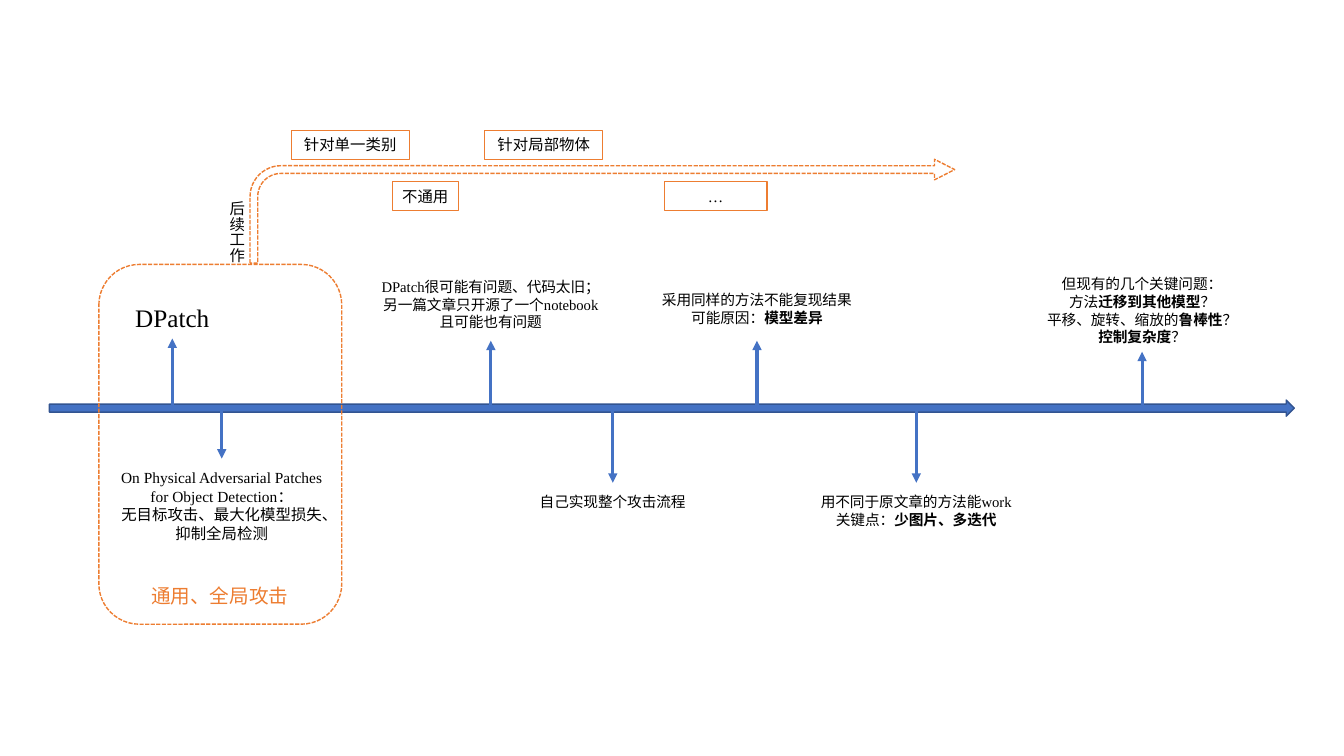
"""Draw a timeline of patch attack work, with its scope and follow-up."""
from pptx import Presentation
from pptx.dml.color import RGBColor
from pptx.enum import dml, shapes, text
from pptx.oxml.ns import qn
from pptx.util import Pt
from lxml import etree

BLUE = RGBColor(0x44, 0x72, 0xC4)
NAVY = RGBColor(0x32, 0x54, 0x91)
ORANGE = RGBColor(0xED, 0x7D, 0x31)
BLACK = RGBColor(0, 0, 0)
FONT = "Times New Roman"
KIND = shapes.MSO_SHAPE
MID = text.PP_ALIGN.CENTER
LEFT = text.PP_ALIGN.LEFT

EVENTS = [
    (87.8, -49.7, -79.2, 69.8, 28.8, 18, False, ["DPatch"]),
    (123.1, 36, 39.6, 160.6, 60.5, 11, True,
     ["On Physical Adversarial Patches for Object Detection：",
      "无目标攻击、最大化模型损失、抑制全局检测"]),
    (315.3, -48.2, -96.5, 175, 45.4, 10.5, False,
     ["DPatch很可能有问题、代码太旧；",
      "另一篇文章只开源了一个notebook", "且可能也有问题"]),
    (402.4, 53.3, 56.9, 120.2, 20.2, 10.5, False, ["自己实现整个攻击流程"]),
    (505.4, -48.2, -87.1, 152.6, 32.4, 10.5, False,
     ["采用同样的方法不能复现结果", "可能原因：*模型差异*"]),
    (619.2, 53.3, 56.9, 153.4, 32.4, 10.5, False,
     ["用不同于原文章的方法能work", "关键点：*少图片、多迭代*"]),
    (780.5, -40.3, -98.6, 152.6, 58.3, 10.5, False,
     ["但现有的几个关键问题：", "方法*迁移到其他模型*？",
      "平移、旋转、缩放的*鲁棒性*？", "*控制复杂度*？"]),
]
TAGS = [(29.5, -20.9, 84.2, "针对单一类别"), (101.5, 15.8, 47.5, "不通用"),
        (167.8, -20.9, 84.2, "针对局部物体"), (295.9, 15.8, 73.4, "…")]


def write(frame, lines, size, color=BLACK, align=MID, wrap=True):
    """Fill a text frame; stars enclose bold words."""
    frame.word_wrap = wrap
    for i, line in enumerate(lines):
        para = frame.paragraphs[0] if i == 0 else frame.add_paragraph()
        para.alignment = align
        para.font.name, para.font.size = FONT, Pt(size)
        para.font.color.rgb = color
        for j, part in enumerate(line.split("*")):
            if part:
                run = para.add_run()
                run.text = part
                if j % 2:
                    run.font.bold = True


def label(slide, box, lines, size, **style):
    """Add a text box and return it."""
    note = slide.shapes.add_textbox(*map(Pt, box))
    write(note.text_frame, lines, size, **style)
    return note


def outline(slide, kind, box, width=1, dash=True):
    """Add an unfilled orange shape and return it."""
    shape = slide.shapes.add_shape(kind, *map(Pt, box))
    shape.shadow.inherit = False
    shape.fill.background()
    shape.line.color.rgb, shape.line.width = ORANGE, Pt(width)
    if dash:
        shape.line.dash_style = dml.MSO_LINE.SQUARE_DOT
    return shape


def arrow(slide, x, start, end):
    """Add an upright blue arrow."""
    link = slide.shapes.add_connector(
        shapes.MSO_CONNECTOR.STRAIGHT, Pt(x), Pt(start), Pt(x), Pt(end))
    link.line.color.rgb, link.line.width = BLUE, Pt(2.25)
    etree.SubElement(link.line._get_or_add_ln(), qn("a:tailEnd"),
                     type="triangle")
    etree.SubElement(link.element.spPr, qn("a:effectLst"))


def axis(slide, box):
    """Draw the time axis and the events along it."""
    left, top, width, height = box
    bar = slide.shapes.add_shape(KIND.RIGHT_ARROW, *map(Pt, box))
    bar.shadow.inherit = False
    bar.fill.solid()
    bar.fill.fore_color.rgb = BLUE
    bar.line.color.rgb, bar.line.width = NAVY, Pt(1)
    mid = top + height / 2
    for x, tip, rise, wide, high, size, wrap, lines in EVENTS:
        arrow(slide, left + x, mid, mid + tip)
        label(slide, (left + x - wide / 2, mid + rise, wide, high),
              lines, size, wrap=wrap)


def scope(slide, box):
    """Draw the dashed frame with its caption."""
    left, top, width, height = box
    outline(slide, KIND.ROUNDED_RECTANGLE, box)
    label(slide, (left + 30.2, top + height - 32.4, 113.8, 24.5),
          ["通用、全局攻击"], 14, color=ORANGE, align=LEFT, wrap=False)


def follow(slide, box):
    """Draw the bent arrow, its side title and its tags."""
    left, top, width, height = box
    bend = outline(slide, KIND.BENT_ARROW, box)
    for i, value in enumerate((0.074, 0.099, 0.194, 0.297)):
        bend.adjustments[i] = value
    side = label(slide, (left - 27.4, top + 23, 28.1, 65.5),
                 ["后续工作"], 11, align=LEFT)
    side.element.txBody.bodyPr.set("vert", "eaVert")
    for x, y, wide, word in TAGS:
        tag = outline(slide, KIND.RECTANGLE,
                      (left + x, top + y, wide, 20.9), 0.75, False)
        write(tag.text_frame, [word], 11)


def main():
    """Build and save the slide."""
    deck = Presentation()
    deck.slide_width, deck.slide_height = Pt(960), Pt(540)
    slide = deck.slides.add_slide(deck.slide_layouts[6])
    axis(slide, (35.3, 285.8, 889.2, 11.5))
    scope(slide, (70.6, 188.9, 173.5, 257))
    follow(slide, (178.6, 113.8, 503.3, 74.2))
    deck.save("out.pptx")


if __name__ == "__main__":
    main()
